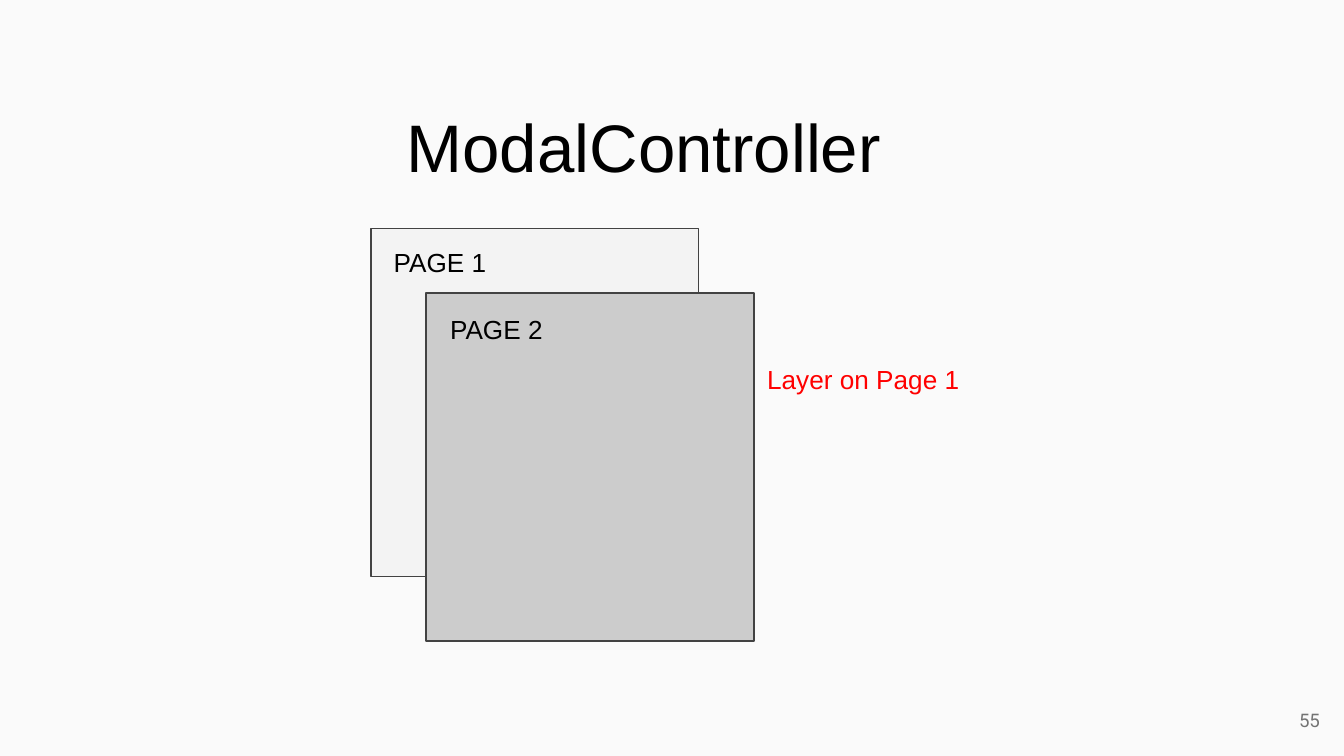
from pptx import Presentation
from pptx.dml.color import RGBColor
from pptx.enum.shapes import MSO_SHAPE
from pptx.enum.text import MSO_ANCHOR, MSO_AUTO_SIZE, PP_ALIGN
from pptx.util import Inches, Pt

RECT = MSO_SHAPE.RECTANGLE
TOP, MIDDLE = MSO_ANCHOR.TOP, MSO_ANCHOR.MIDDLE
LEFT, CENTER, RIGHT = PP_ALIGN.LEFT, PP_ALIGN.CENTER, PP_ALIGN.RIGHT
FIXED = MSO_AUTO_SIZE.NONE

COLORS = {
    "back": "FAFAFA",
    "rear": "F3F3F3",
    "front": "CCCCCC",
    "edge": "424242",
    "text": "000000",
    "note": "FF0000",
    "number": "737373",
}


def color(name):
    """Return the named colour."""
    return RGBColor.from_string(COLORS[name])


def write(shape, text, size=14, tint="text", face="Arial", align=LEFT, anchor=TOP):
    """Put one formatted line of text into a shape."""
    frame = shape.text_frame
    frame.text = text
    inset = Inches(0.1)
    form = {
        "word_wrap": True, "auto_size": FIXED, "vertical_anchor": anchor,
        "margin_left": inset, "margin_top": inset,
        "margin_right": inset, "margin_bottom": inset,
    }
    for key, value in form.items():
        setattr(frame, key, value)
    line = frame.paragraphs[0]
    line.alignment = align
    for key, value in {"size": Pt(size), "name": face, "bold": False}.items():
        setattr(line.font, key, value)
    line.font.color.rgb = color(tint)


def add_text(slide, box, text, **form):
    """Add a text box at the given box."""
    write(slide.shapes.add_textbox(*map(Inches, box)), text, **form)


def add_title(slide, box, text):
    """Move and format the title placeholder."""
    title = slide.shapes.title
    for key, value in zip(("left", "top", "width", "height"), box):
        setattr(title, key, Inches(value))
    write(title, text, size=36, align=CENTER)


def add_page(slide, box, text, tint, inset):
    """Draw a page with its label inset from the top left corner."""
    page = slide.shapes.add_shape(RECT, *map(Inches, box))
    page.shadow.inherit = False
    page.fill.solid()
    page.fill.fore_color.rgb = color(tint)
    page.line.color.rgb = color("edge")
    page.line.width = Pt(0.75)
    left, top = box[:2]
    add_text(slide, (left + inset[0], top + inset[1], 1.61, 0.71), text)


def add_stack(slide, box):
    """Draw two overlapping pages and the note beside the front one."""
    left, top, width, height = box
    shift, drop = 0.41, 0.48
    wide, high = width - shift, height - drop
    pages = (("PAGE 1", "rear", (0.07, 0.03)), ("PAGE 2", "front", (0.08, 0.05)))
    for step, (text, tint, inset) in enumerate(pages):
        spot = (left + step * shift, top + step * drop, wide, high)
        add_page(slide, spot, text, tint, inset)
    add_text(slide, (left + width, top + 0.9, 2.83, 1.25), "Layer on Page 1", tint="note")


def main():
    """Build and save the slide."""
    deck = Presentation()
    deck.slide_width = Inches(10)
    deck.slide_height = deck.slide_width * 9 // 16
    slide = deck.slides.add_slide(deck.slide_layouts[5])
    fill = slide.background.fill
    fill.solid()
    fill.fore_color.rgb = color("back")
    add_title(slide, (1.73, 0.68, 6.12, 0.92), "ModalController")
    add_stack(slide, (2.76, 1.7, 2.85, 3.07))
    add_text(slide, (9.32, 5.14, 0.6, 0.43), "55", size=10, tint="number",
             face="Roboto", align=RIGHT, anchor=MIDDLE)
    deck.save("out.pptx")


if __name__ == "__main__":
    main()
